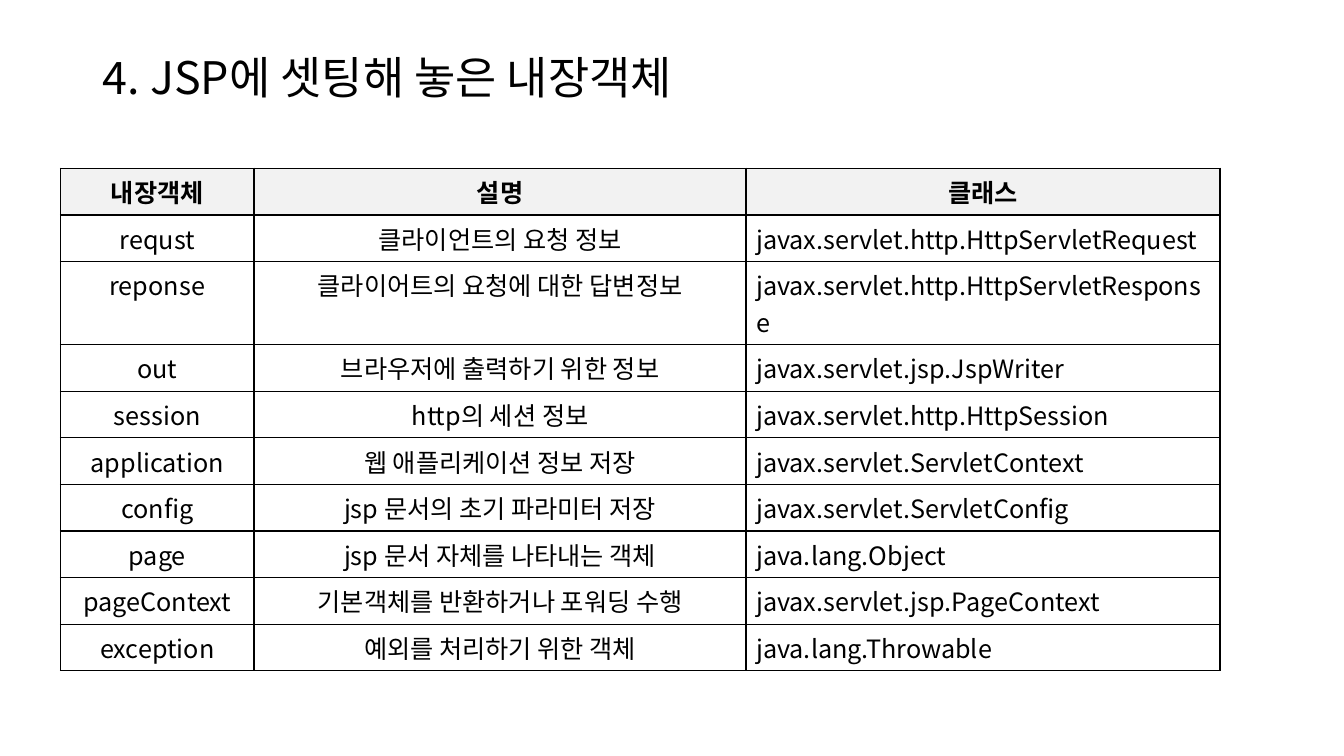
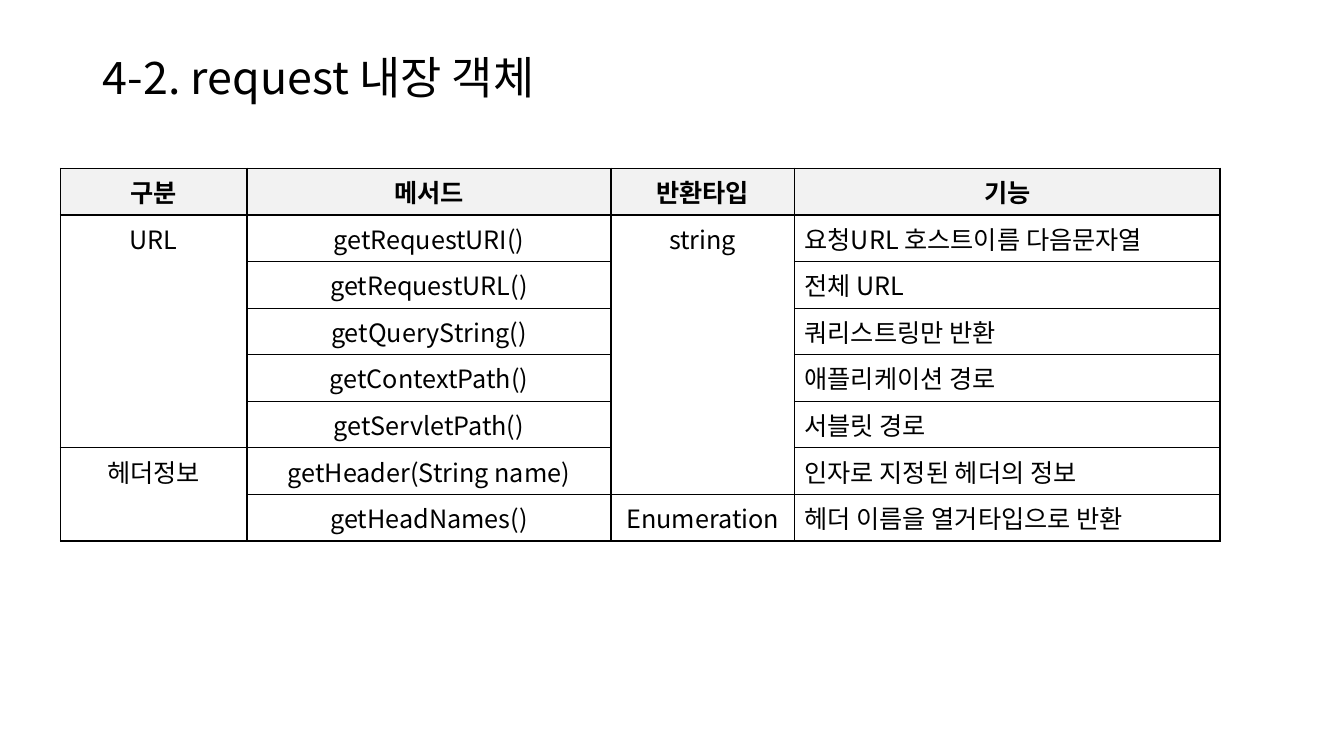
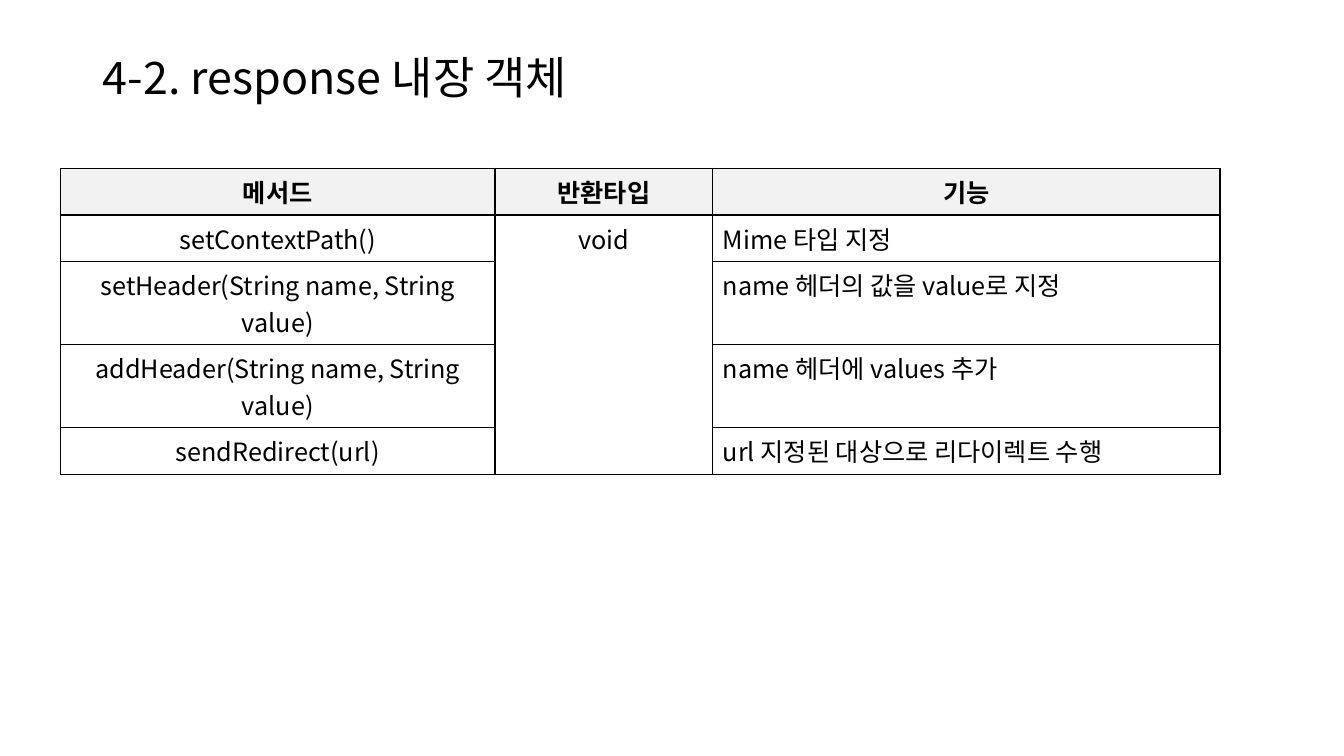
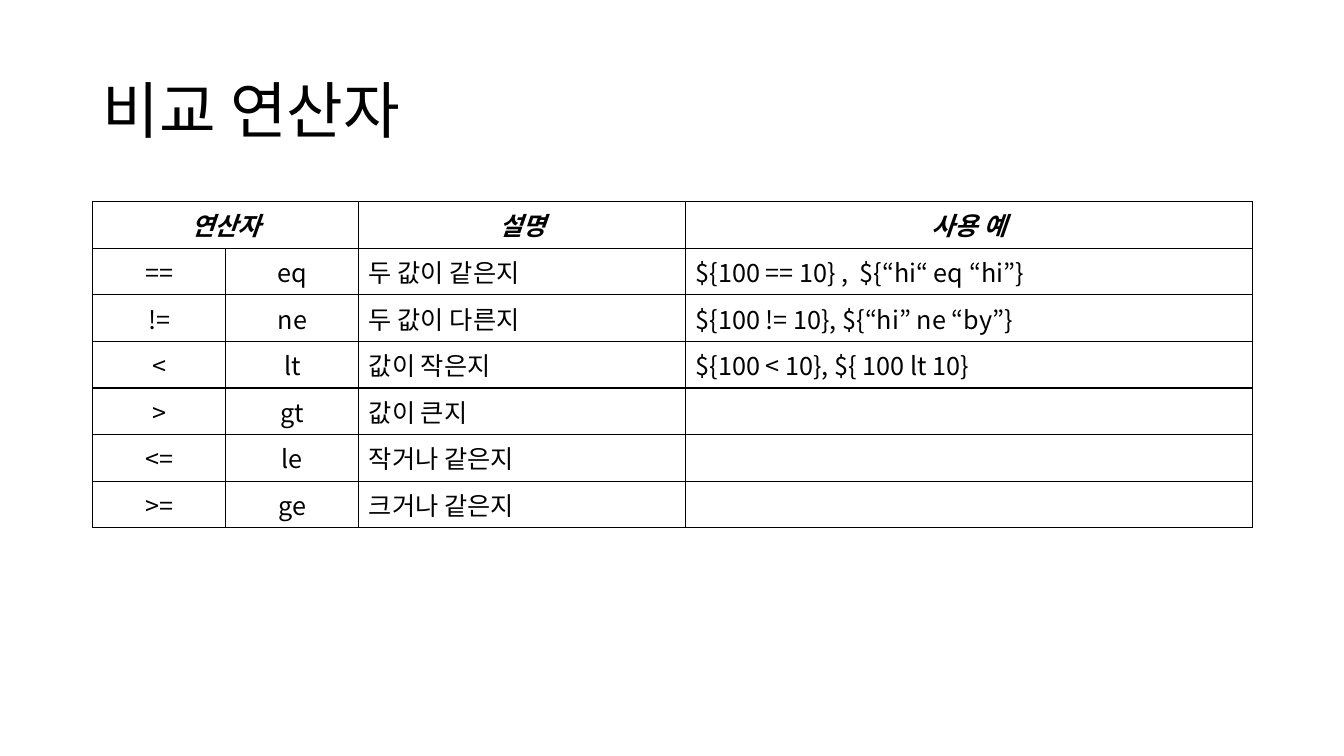
from lxml.etree import SubElement
from pptx import Presentation
from pptx.dml.color import RGBColor
from pptx.enum.text import MSO_ANCHOR as Anchor, MSO_AUTO_SIZE as AutoSize, PP_ALIGN as Align
from pptx.oxml.ns import qn
from pptx.util import Inches, Pt

# Shared look
FONT = "Noto Sans CJK KR"
INK, HEADER_FILL = "000000", "F2F2F2"
CELL_SIZE = 18
CONTENT_WIDTH, ROW_HEIGHT = 11.5, 0.46
TITLE_LEFT, TITLE_TOP = 0.92, 0.4

# Markers for cells that continue a neighbour
UP, LEFT = object(), object()


def color(hex_code):
    return RGBColor.from_string(hex_code)


def add_text(paragraph, text, size, bold=False, italic=False):
    run = paragraph.add_run()
    run.text = text
    font = run.font
    font.name, font.size = FONT, Pt(size)
    font.bold, font.italic = bold, italic
    font.color.rgb = color(INK)
    SubElement(run._r.get_or_add_rPr(), qn("a:ea"), typeface=FONT)


def add_titled_slide(prs, heading, size=32, height=0.78):
    slide = prs.slides.add_slide(prs.slide_layouts[5])
    title = slide.shapes.title
    title.left, title.top = Inches(TITLE_LEFT), Inches(TITLE_TOP)
    title.width, title.height = Inches(CONTENT_WIDTH), Inches(height)
    frame = title.text_frame
    frame.auto_size, frame.word_wrap = AutoSize.NONE, True
    frame.vertical_anchor = Anchor.MIDDLE
    paragraph = frame.paragraphs[0]
    paragraph.alignment, paragraph.line_spacing = Align.LEFT, 0.9
    add_text(paragraph, heading, size)
    return slide


def add_borders(cell):
    properties = cell._tc.get_or_add_tcPr()
    for side in ("lnL", "lnR", "lnT", "lnB"):
        line = SubElement(properties, qn(f"a:{side}"), w=str(Pt(1)))
        fill = SubElement(line, qn("a:solidFill"))
        SubElement(fill, qn("a:srgbClr"), val=INK)


def span_end(rows, r, c):
    """Last row and column covered by the cell at r, c."""
    bottom, right = r, c
    while bottom + 1 < len(rows) and rows[bottom + 1][c] is UP:
        bottom += 1
    while right + 1 < len(rows[r]) and rows[r][right + 1] is LEFT:
        right += 1
    return bottom, right


def add_grid(slide, widths, rows, centered, left=0.6, top=1.67,
             header_fill=HEADER_FILL, header_italic=False):
    """Ruled table; the first `centered` columns and the header are centred."""
    table = slide.shapes.add_table(
        len(rows), len(widths), Inches(left), Inches(top),
        Inches(CONTENT_WIDTH), Inches(ROW_HEIGHT * len(rows))).table
    table.first_row = table.horz_banding = False
    for column, width in zip(table.columns, widths):
        column.width = Inches(width)
    for r, row in enumerate(rows):
        table.rows[r].height = Inches(ROW_HEIGHT)
        is_header = r == 0
        for c, text in enumerate(row):
            cell = table.cell(r, c)
            add_borders(cell)
            if is_header and header_fill:
                cell.fill.solid()
                cell.fill.fore_color.rgb = color(header_fill)
            else:
                cell.fill.background()
            if text is UP or text is LEFT:
                continue
            end = span_end(rows, r, c)
            if end != (r, c):
                cell.merge(table.cell(*end))
            paragraph = cell.text_frame.paragraphs[0]
            paragraph.alignment = Align.CENTER if is_header or c < centered else Align.LEFT
            if text:
                add_text(paragraph, text, CELL_SIZE, is_header, is_header and header_italic)


IMPLICIT_OBJECTS = [
    ("내장객체", "설명", "클래스"),
    ("requst", "클라이언트의 요청 정보", "javax.servlet.http.HttpServletRequest"),
    ("reponse", "클라이어트의 요청에 대한 답변정보", "javax.servlet.http.HttpServletResponse"),
    ("out", "브라우저에 출력하기 위한 정보", "javax.servlet.jsp.JspWriter"),
    ("session", "http의 세션 정보", "javax.servlet.http.HttpSession"),
    ("application", "웹 애플리케이션 정보 저장", "javax.servlet.ServletContext"),
    ("config", "jsp 문서의 초기 파라미터 저장", "javax.servlet.ServletConfig"),
    ("page", "jsp 문서 자체를 나타내는 객체", "java.lang.Object"),
    ("pageContext", "기본객체를 반환하거나 포워딩 수행", "javax.servlet.jsp.PageContext"),
    ("exception", "예외를 처리하기 위한 객체", "java.lang.Throwable"),
]

REQUEST_METHODS = [
    ("구분", "메서드", "반환타입", "기능"),
    ("URL", "getRequestURI()", "string", "요청URL 호스트이름 다음문자열"),
    (UP, "getRequestURL()", UP, "전체 URL"),
    (UP, "getQueryString()", UP, "쿼리스트링만 반환"),
    (UP, "getContextPath()", UP, "애플리케이션 경로"),
    (UP, "getServletPath()", UP, "서블릿 경로"),
    ("헤더정보", "getHeader(String name)", UP, "인자로 지정된 헤더의 정보"),
    (UP, "getHeadNames()", "Enumeration", "헤더 이름을 열거타입으로 반환"),
]

RESPONSE_METHODS = [
    ("메서드", "반환타입", "기능"),
    ("setContextPath()", "void", "Mime 타입 지정"),
    ("setHeader(String name, String value)", UP, "name 헤더의 값을 value로 지정"),
    ("addHeader(String name, String value)", UP, "name 헤더에 values 추가"),
    ("sendRedirect(url)", UP, "url 지정된 대상으로 리다이렉트 수행"),
]

COMPARISONS = [
    ("연산자", LEFT, "설명", "사용 예"),
    ("==", "eq", "두 값이 같은지", "${100 == 10} ,  ${“hi“ eq “hi”}"),
    ("!=", "ne", "두 값이 다른지", "${100 != 10}, ${“hi” ne “by”}"),
    ("<", "lt", "값이 작은지", "${100 < 10}, ${ 100 lt 10}"),
    (">", "gt", "값이 큰지", ""),
    ("<=", "le", "작거나 같은지", ""),
    (">=", "ge", "크거나 같은지", ""),
]


def main():
    prs = Presentation()
    prs.slide_width, prs.slide_height = Inches(13.33), Inches(7.5)

    # Implicit objects
    slide = add_titled_slide(prs, "4. JSP에 셋팅해 놓은 내장객체")
    add_grid(slide, (1.92, 4.88, 4.7), IMPLICIT_OBJECTS, centered=2)

    # Request methods
    slide = add_titled_slide(prs, "4-2. request 내장 객체")
    add_grid(slide, (1.85, 3.61, 1.82, 4.22), REQUEST_METHODS, centered=3)

    # Response methods
    slide = add_titled_slide(prs, "4-2. response 내장 객체")
    add_grid(slide, (4.31, 2.16, 5.03), RESPONSE_METHODS, centered=2)

    # Comparison operators
    slide = add_titled_slide(prs, "비교 연산자", size=44, height=1.45)
    add_grid(slide, (1.32, 1.32, 3.24, 5.62), COMPARISONS, centered=2,
             left=TITLE_LEFT, top=2, header_fill=None, header_italic=True)

    prs.save("out.pptx")


if __name__ == "__main__":
    main()
